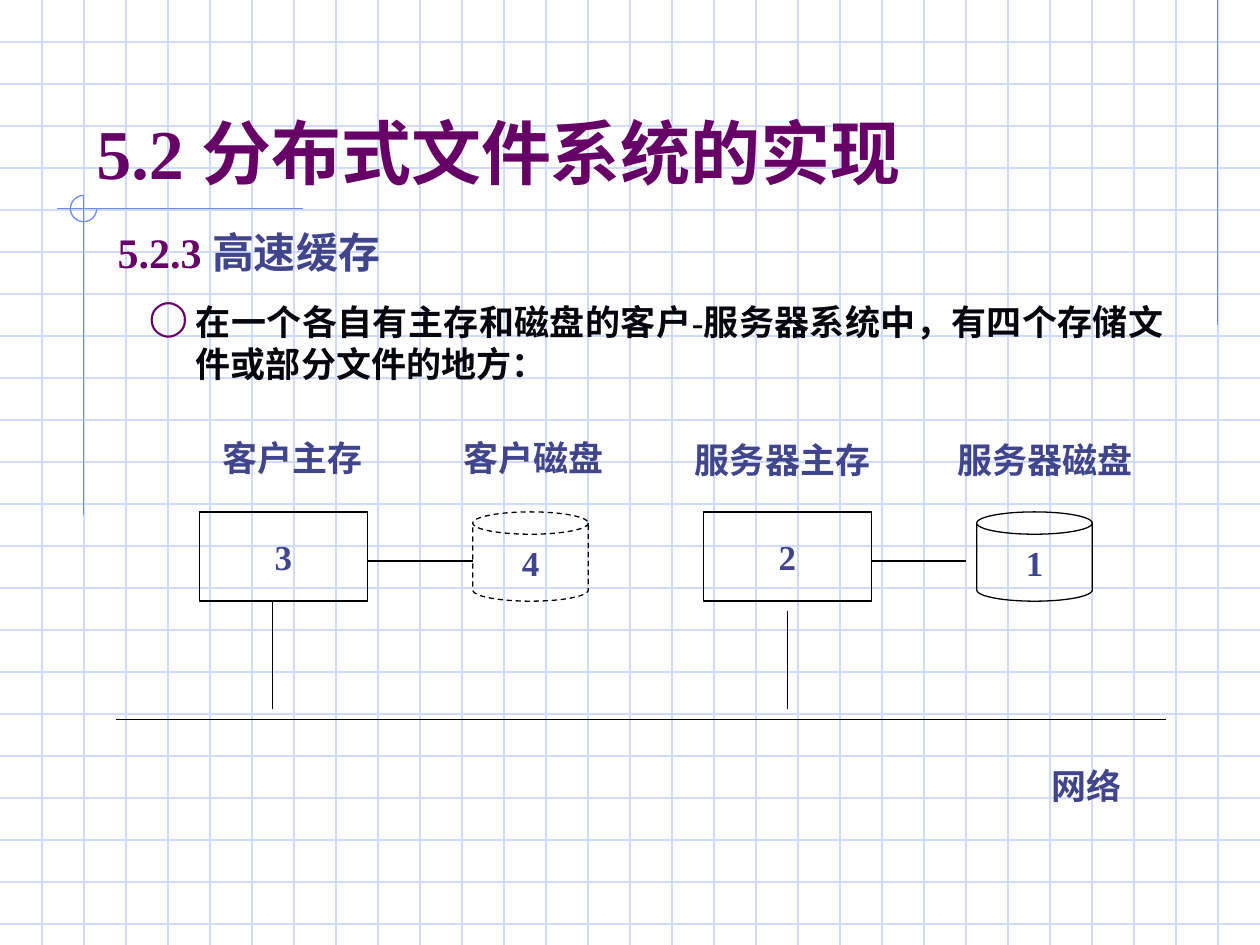
from lxml import etree
from pptx import Presentation, util as u
from pptx.dml.color import RGBColor
from pptx.enum import dml, shapes as s, text as t
from pptx.oxml.ns import qn

hues = {"grid": "CFDBFD", "trim": "6F89F7", "plum": "660066",
        "blue": "40458C", "ink": "06070E", "black": "000000"}
serif, sans, noto = "Times New Roman", "Montserrat", "Noto Sans CJK SC"


def write(shape, *runs, size=20, align="LEFT", anchor="TOP", wrap=True):
    frame = shape.text_frame
    frame.word_wrap = wrap
    frame.auto_size = t.MSO_AUTO_SIZE.NONE
    frame.vertical_anchor = t.MSO_ANCHOR[anchor]
    para = frame.paragraphs[0]
    para.alignment = t.PP_ALIGN[align]
    for words, hue, face, east in runs:
        run = para.add_run()
        run.text = words
        font = run.font
        font.size, font.bold, font.name = u.Pt(size), True, face
        font.color.rgb = RGBColor.from_string(hues[hue])
        etree.SubElement(run._r.rPr, qn("a:ea"), typeface=east)
    return para


def link(x1, y1, x2, y2, hue="black"):
    line = slide.shapes.add_connector(
        s.MSO_CONNECTOR.STRAIGHT, *map(u.Cm, (x1, y1, x2, y2)))
    line.line.color.rgb = RGBColor.from_string(hues[hue])
    line.line.width = u.Pt(0.75)
    etree.SubElement(line._element.spPr, qn("a:effectLst"))


deck = Presentation()
deck.slide_width, deck.slide_height = u.Cm(25.4), u.Cm(19.05)
slide = deck.slides.add_slide(deck.slide_layouts[5])

step = 2.54 / 3
for i in range(1, 23):
    link(0, i * step, 25.4, i * step, "grid")
for i in range(1, 30):
    link(i * step, 0, i * step, 19.05, "grid")

link(24.55, 0, 24.55, 6.55, "trim")
link(6.1, 4.21, 1.14, 4.21, "trim")
link(1.69, 3.94, 1.69, 10.39, "trim")
arc = slide.shapes.add_shape(s.MSO_SHAPE.ARC, *map(u.Cm, (1.42, 3.94, 0.53, 0.53)))
arc.shadow.inherit = False
arc.adjustments[0], arc.adjustments[1] = 0, 162
arc.fill.background()
arc.line.color.rgb = RGBColor.from_string(hues["trim"])
arc.line.width = u.Pt(0.75)

title = slide.shapes.title
title.left, title.top, title.width, title.height = map(u.Cm, (1.69, 0.85, 21.59, 3.17))
write(title, ("5.2 ", "plum", serif, noto), ("分布式文件系统的实现", "plum", noto, noto),
      size=40, anchor="BOTTOM")
slide.shapes._spTree.append(title._element)

head = slide.shapes.add_textbox(*map(u.Cm, (2.12, 4.45, 22.22, 1.3)))
write(head, ("5.2.3 ", "plum", serif, sans), ("高速缓存", "blue", sans, sans), size=24)

body = slide.shapes.add_textbox(*map(u.Cm, (2.75, 5.93, 20.95, 1.95)))
para = write(body, ("在一个各自有主存和磁盘的客户-服务器系统中，有四个存储文件或部分文件的地方：",
                    "ink", serif, sans), align="JUSTIFY")
props = para._p.get_or_add_pPr()
props.set("marL", str(u.Cm(0.95)))
props.set("indent", str(u.Cm(-0.95)))
tint = etree.SubElement(props, qn("a:buClr"))
etree.SubElement(tint, qn("a:srgbClr"), val=hues["plum"])
etree.SubElement(props, qn("a:buChar"), char="◯")

box, can = s.MSO_SHAPE.RECTANGLE, s.MSO_SHAPE.CAN
for num, kind, x, wide in (("3", box, 4.02, 3.39), ("4", can, 9.53, 2.33),
                           ("2", box, 14.18, 3.39), ("1", can, 19.69, 2.33)):
    node = slide.shapes.add_shape(kind, *map(u.Cm, (x, 10.32, wide, 1.8)))
    node.shadow.inherit = False
    node.fill.background()
    node.line.color.rgb = RGBColor.from_string(hues["black"])
    node.line.width = u.Pt(0.75)
    if num == "4":
        node.line.dash_style = dml.MSO_LINE.DASH
    write(node, (num, "blue", serif, sans), align="CENTER", anchor="MIDDLE", wrap=False)

for ends in ((2.33, 14.5, 23.5, 14.5), (5.5, 12.12, 5.5, 14.3), (15.88, 12.32, 15.88, 14.3),
             (7.41, 11.31, 9.53, 11.31), (17.57, 11.31, 19.47, 11.31)):
    link(*ends)

for words, x, y, wide in (("客户主存", 4.23, 8.68, 4.23), ("客户磁盘", 9.1, 8.68, 4.23),
                          ("服务器主存", 13.76, 8.71, 4.23), ("服务器磁盘", 19.05, 8.71, 4.23),
                          ("网络", 20.95, 15.29, 2.12)):
    label = slide.shapes.add_textbox(*map(u.Cm, (x, y, wide, 1.11)))
    write(label, (words, "blue", sans, sans))

deck.save("out.pptx")
